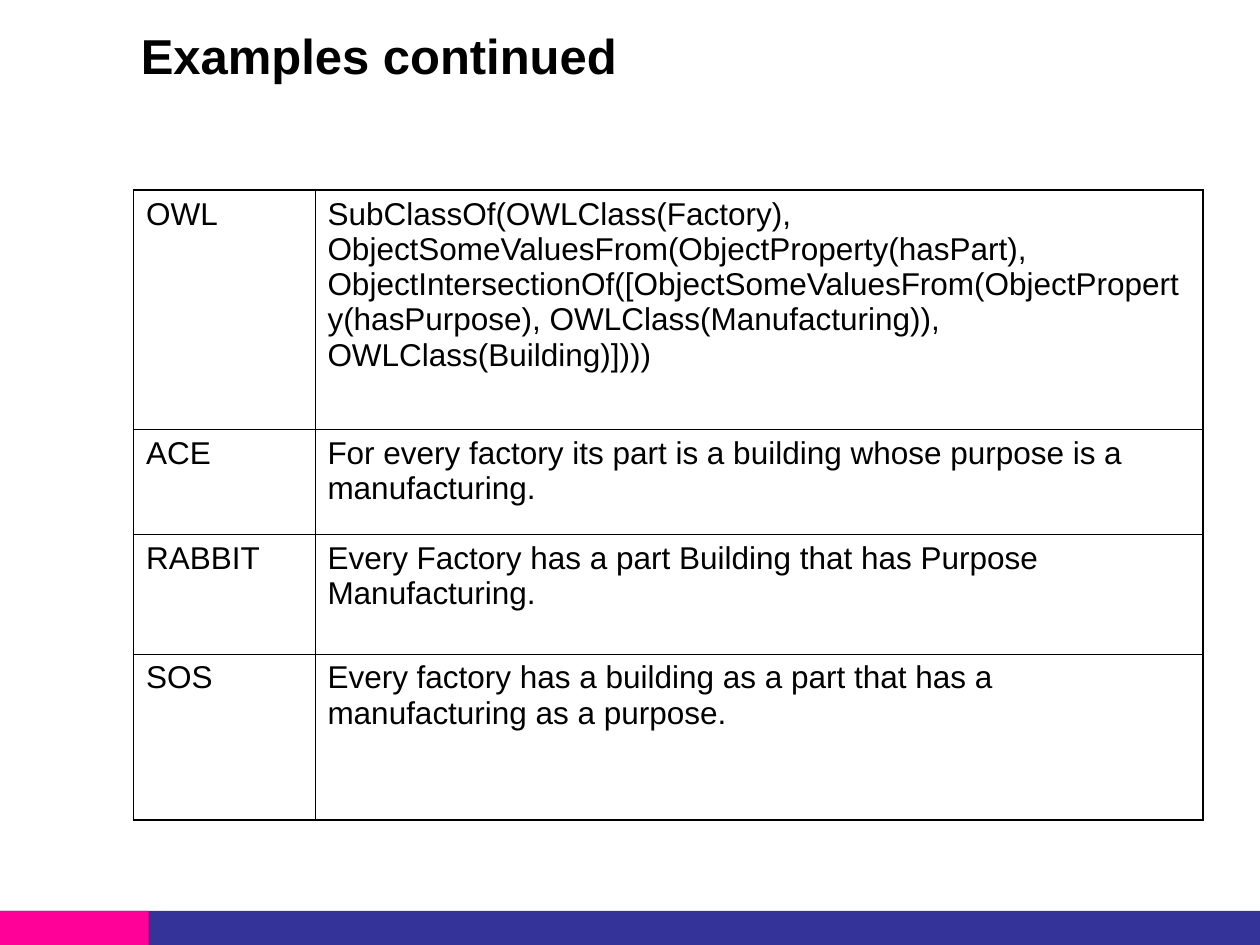
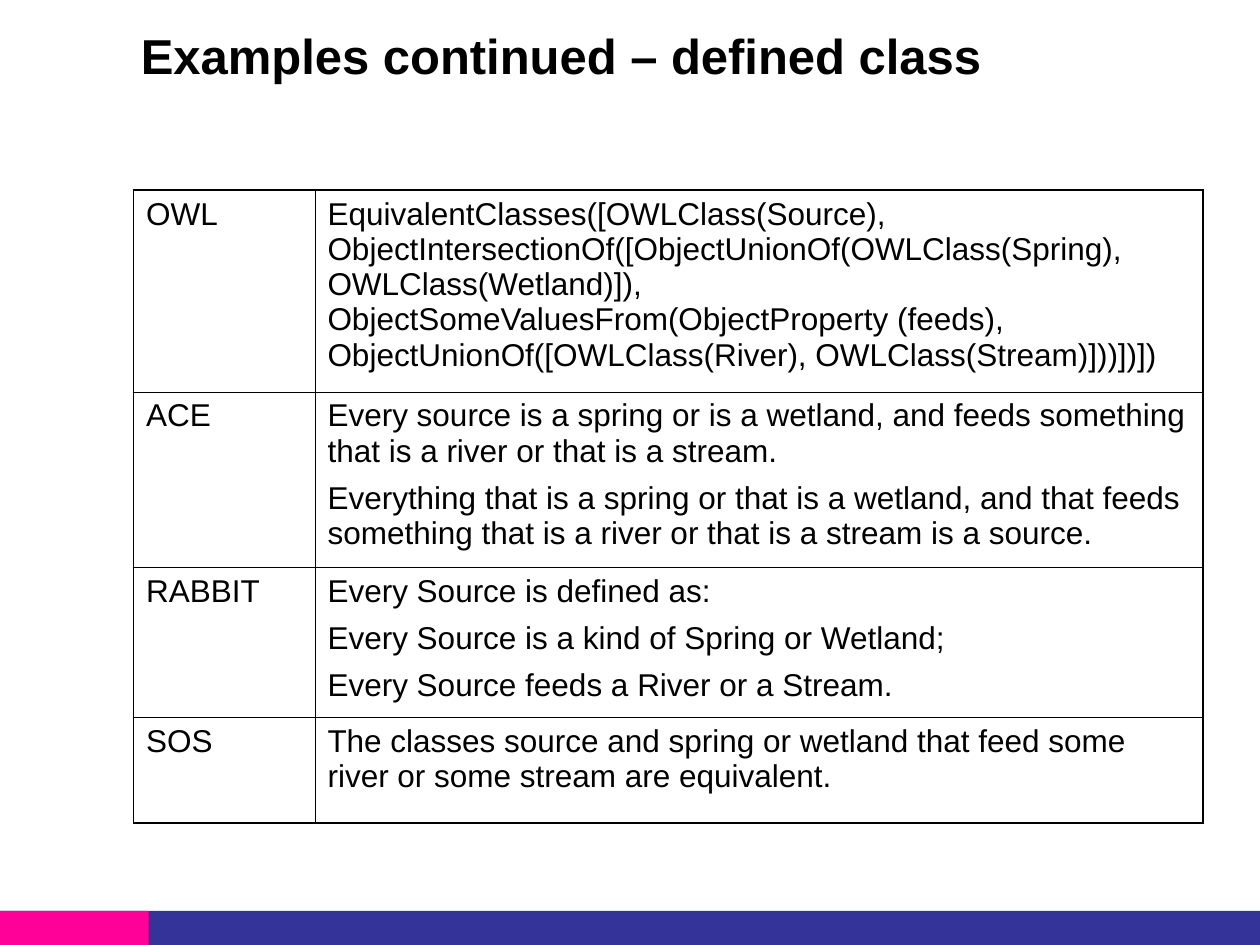
from dataclasses import dataclass

from lxml.etree import SubElement
from pptx import Presentation
from pptx.dml.color import RGBColor
from pptx.enum.shapes import MSO_SHAPE
from pptx.enum.text import MSO_ANCHOR, PP_ALIGN
from pptx.oxml.ns import qn
from pptx.slide import Slide
from pptx.table import _Cell
from pptx.text.text import TextFrame
from pptx.util import Inches, Pt

# Shared look
BLACK = RGBColor(0x00, 0x00, 0x00)
NAVY = RGBColor(0x33, 0x33, 0x99)
PINK = RGBColor(0xFF, 0x00, 0x99)
FONT = "Arial"
OUTER_LINE, INNER_LINE = Pt(1.08), Pt(0.45)
COLUMN_WIDTHS = (1.44, 7.05)


@dataclass(frozen=True)
class Band:
    width: float
    color: RGBColor


@dataclass(frozen=True)
class Notation:
    name: str
    height: float
    statements: tuple[str, ...]


@dataclass(frozen=True)
class ExampleSlide:
    title: str
    notations: tuple[Notation, ...]


FOOTER_BANDS = (Band(10, NAVY), Band(1.18, PINK))

EXAMPLES = (
    ExampleSlide("Examples continued", (
        Notation("OWL", 1.9, (
            "SubClassOf(OWLClass(Factory), "
            "ObjectSomeValuesFrom(ObjectProperty(hasPart), "
            "ObjectIntersectionOf([ObjectSomeValuesFrom("
            "ObjectProperty(hasPurpose), OWLClass(Manufacturing)), "
            "OWLClass(Building)])))",)),
        Notation("ACE", 0.83, (
            "For every factory its part is a building whose purpose is a "
            "manufacturing.",)),
        Notation("RABBIT", 0.95, (
            "Every Factory has a part Building that has Purpose "
            "Manufacturing.",)),
        Notation("SOS", 1.32, (
            "Every factory has a building as a part that has a "
            "manufacturing as a purpose.",)),
    )),
    ExampleSlide("Examples continued – defined class", (
        Notation("OWL", 1.6, (
            "EquivalentClasses([OWLClass(Source), "
            "ObjectIntersectionOf([ObjectUnionOf(OWLClass(Spring), "
            "OWLClass(Wetland)]), "
            "ObjectSomeValuesFrom(ObjectProperty (feeds), "
            "ObjectUnionOf([OWLClass(River), OWLClass(Stream)]))])])",)),
        Notation("ACE", 1.39, (
            "Every source is a spring or is a wetland, and feeds something "
            "that is a river or that is a stream.",
            "Everything that is a spring or that is a wetland, and that feeds "
            "something that is a river or that is a stream is a source.")),
        Notation("RABBIT", 1.18, (
            "Every Source is defined as:",
            "Every Source is a kind of Spring or Wetland;",
            "Every Source feeds a River or a Stream.")),
        Notation("SOS", 0.84, (
            "The classes source and spring or wetland that feed some river "
            "or some stream are equivalent.",)),
    )),
)


def write_text(frame: TextFrame, *lines: str, size: float = 18,
               bold: bool = False, space_before: float = 0) -> None:
    frame.word_wrap = True
    for index, line in enumerate(lines):
        paragraph = frame.add_paragraph() if index else frame.paragraphs[0]
        paragraph.alignment = PP_ALIGN.LEFT
        paragraph.space_before = Pt(space_before)
        run = paragraph.add_run()
        run.text = line
        run.font.name = FONT
        run.font.size = Pt(size)
        run.font.bold = bold
        run.font.color.rgb = BLACK


def draw_footer(slide: Slide) -> None:
    for band in FOOTER_BANDS:
        bar = slide.shapes.add_shape(MSO_SHAPE.RECTANGLE, Inches(0), Inches(7.23),
                                     Inches(band.width), Inches(0.28))
        bar.shadow.inherit = False
        bar.fill.solid()
        bar.fill.fore_color.rgb = band.color
        bar.line.fill.background()


def draw_title(slide: Slide, title: str) -> None:
    heading = slide.shapes.add_textbox(Inches(1.02), Inches(0.15),
                                       Inches(8.46), Inches(0.91))
    heading.text_frame.vertical_anchor = MSO_ANCHOR.TOP
    write_text(heading.text_frame, title, size=28, bold=True)


def set_borders(cell: _Cell, outer_sides: dict[str, bool]) -> None:
    """Draw the four edges; those on the rim of the table are heavier."""
    properties = cell._tc.get_or_add_tcPr()
    for position, (side, is_outer) in enumerate(outer_sides.items()):
        edge = SubElement(properties, qn(f"a:ln{side}"),
                          w=str(OUTER_LINE if is_outer else INNER_LINE))
        fill = SubElement(edge, qn("a:solidFill"))
        SubElement(fill, qn("a:srgbClr"), val=str(BLACK))
        properties.insert(position, edge)  # edges come before the cell fill


def draw_notations(slide: Slide, notations: tuple[Notation, ...]) -> None:
    height = sum(notation.height for notation in notations)
    table = slide.shapes.add_table(
        len(notations), len(COLUMN_WIDTHS), Inches(1.06), Inches(1.51),
        Inches(sum(COLUMN_WIDTHS)), Inches(height)).table
    table.first_row = table.horz_banding = False
    for column, width in zip(table.columns, COLUMN_WIDTHS):
        column.width = Inches(width)

    last_row, last_column = len(notations) - 1, len(COLUMN_WIDTHS) - 1
    for row, notation in enumerate(notations):
        table.rows[row].height = Inches(notation.height)
        for column, lines in enumerate(((notation.name,), notation.statements)):
            cell = table.cell(row, column)
            cell.fill.background()
            cell.vertical_anchor = MSO_ANCHOR.TOP
            write_text(cell.text_frame, *lines, space_before=6.8)
            set_borders(cell, {"L": column == 0, "R": column == last_column,
                               "T": row == 0, "B": row == last_row})


def main() -> None:
    deck = Presentation()
    deck.slide_width, deck.slide_height = Inches(10), Inches(7.5)
    blank_layout = deck.slide_layouts[6]
    for example in EXAMPLES:
        slide = deck.slides.add_slide(blank_layout)
        draw_footer(slide)
        draw_title(slide, example.title)
        draw_notations(slide, example.notations)
    deck.save("out.pptx")


if __name__ == "__main__":
    main()
